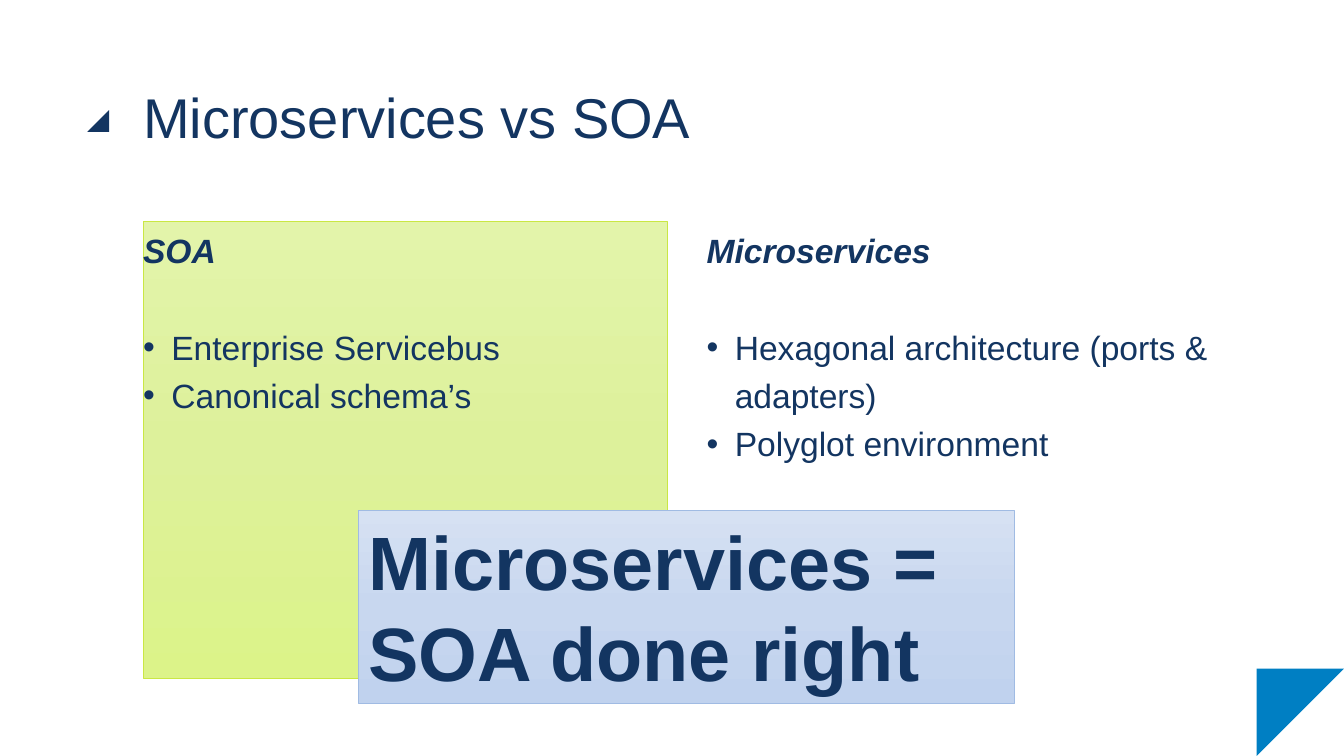
from copy import deepcopy

from pptx import Presentation
from pptx.dml.color import RGBColor
from pptx.enum.shapes import MSO_SHAPE
from pptx.enum.text import MSO_ANCHOR, PP_ALIGN
from pptx.oxml.ns import qn
from pptx.util import Pt

RECT = MSO_SHAPE.RECTANGLE
WEDGE = MSO_SHAPE.RIGHT_TRIANGLE
TOP = MSO_ANCHOR.TOP
LEFT = PP_ALIGN.LEFT
FONT = "Arial"
INK = {"navy": "133561", "blue": "007FC3", "lime": "CAE744", "sky": "A0BBE3"}
FADES = {
    "lime": ["E3F4AA", "DDF19B", "DCF389"],
    "sky": ["D6E1F3", "C8D7EF", "C0D2EE"],
}
COL_X = [102.24, 504.72]
COL_TOP, COL_W, COL_H = 158.4, 374.4, 326.16
INDENT = 20.16
GAP = 34.6
COLUMNS = [
    ("SOA", ["Enterprise Servicebus", "Canonical schema’s"]),
    ("Microservices", ["Hexagonal architecture (ports & adapters)",
                       "Polyglot environment"]),
]


def add_wedge(slide, x, y, size, color):
    wedge = slide.shapes.add_shape(WEDGE, Pt(x), Pt(y), Pt(size), Pt(size))
    wedge.shadow.inherit = False
    wedge.fill.solid()
    wedge.fill.fore_color.rgb = RGBColor.from_string(INK[color])
    wedge.line.fill.background()
    return wedge


def add_panel(slide, x, y, w, h, tone):
    """Add a rectangle that fades from top to bottom through three colours."""
    panel = slide.shapes.add_shape(RECT, Pt(x), Pt(y), Pt(w), Pt(h))
    panel.shadow.inherit = False
    panel.line.color.rgb = RGBColor.from_string(INK[tone])
    panel.line.width = Pt(0.5)
    panel.fill.gradient()
    panel.fill.gradient_angle = 270
    stops = panel._element.spPr.find(".//" + qn("a:gsLst"))
    stops.insert(1, deepcopy(stops[0]))
    for i, (stop, color) in enumerate(zip(panel.fill.gradient_stops, FADES[tone])):
        stop.position = i / 2
        stop.color.rgb = RGBColor.from_string(color)
    return panel


def add_box(slide, x, y, w, h):
    return slide.shapes.add_textbox(Pt(x), Pt(y), Pt(w), Pt(h))


def set_frame(shape, inset=True):
    frame = shape.text_frame
    frame.word_wrap = True
    frame.vertical_anchor = TOP
    if not inset:
        frame.margin_left = frame.margin_right = 0
        frame.margin_top = frame.margin_bottom = 0
    return frame


def set_text(para, text, size, spacing=1.0, bold=False, italic=False):
    para.text = text
    para.alignment = LEFT
    para.line_spacing = spacing
    font = para.font
    font.name, font.size = FONT, Pt(size)
    font.bold, font.italic = bold, italic
    font.color.rgb = RGBColor.from_string(INK["navy"])


def add_bullet(para):
    props = para._p.get_or_add_pPr()
    props.set("marL", str(Pt(INDENT)))
    props.set("indent", str(-Pt(INDENT)))
    face = props.makeelement(qn("a:buFont"), {"typeface": FONT})
    mark = props.makeelement(qn("a:buChar"), {"char": "•"})
    props.extend([face, mark])


def fill_column(shape, head, items):
    frame = set_frame(shape, inset=False)
    set_text(frame.paragraphs[0], head, 24, 1.2, bold=True, italic=True)
    for i, item in enumerate(items):
        para = frame.add_paragraph()
        add_bullet(para)
        set_text(para, item, 24, 1.2)
        if i == 0:
            para.space_before = Pt(GAP)


def main():
    deck = Presentation()
    deck.slide_width, deck.slide_height = Pt(960), Pt(540)
    slide = deck.slides.add_slide(deck.slide_layouts[6])

    mark = add_wedge(slide, 62.4, 78.6, 15.6, "navy")
    mark._element.spPr.get_or_add_xfrm().set("flipH", "1")
    corner = add_wedge(slide, 897.6, 477.6, 62.4, "blue")
    corner.rotation = 90

    size = (COL_TOP, COL_W, COL_H)
    shapes = [add_panel(slide, COL_X[0], *size, "lime"),
              add_box(slide, COL_X[1], *size)]
    for shape, (head, items) in zip(shapes, COLUMNS):
        fill_column(shape, head, items)

    title = set_frame(add_box(slide, COL_X[0], 56.88, 776.88, 102.24), inset=False)
    set_text(title.paragraphs[0], "Microservices vs SOA", 40, 1.05)

    claim = set_frame(add_panel(slide, 256, 364.5, 468.6, 138, "sky"))
    set_text(claim.paragraphs[0], "Microservices = SOA done right", 54, bold=True)

    deck.save("out.pptx")


if __name__ == "__main__":
    main()
